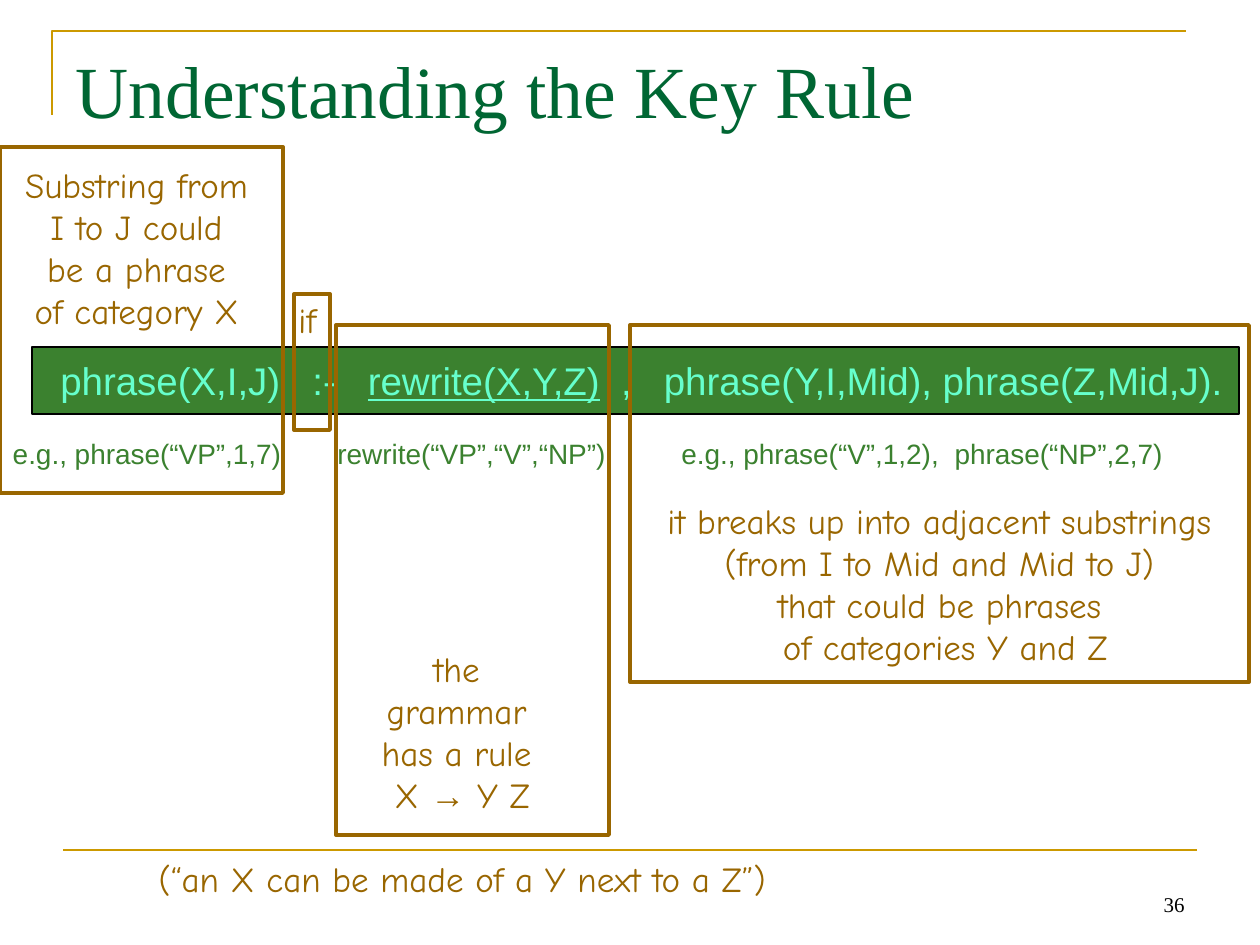
from lxml import etree
from pptx import Presentation
from pptx.dml.color import RGBColor
from pptx.enum.shapes import MSO_CONNECTOR, MSO_SHAPE
from pptx.enum.text import MSO_ANCHOR, MSO_AUTO_SIZE, PP_ALIGN
from pptx.oxml.ns import qn
from pptx.util import Emu, Pt

LEFT, CENTER, RIGHT = PP_ALIGN.LEFT, PP_ALIGN.CENTER, PP_ALIGN.RIGHT
TOP, MIDDLE, BOTTOM = MSO_ANCHOR.TOP, MSO_ANCHOR.MIDDLE, MSO_ANCHOR.BOTTOM
NO_AUTOFIT = MSO_AUTO_SIZE.NONE
RECTANGLE = MSO_SHAPE.RECTANGLE
STRAIGHT = MSO_CONNECTOR.STRAIGHT
EMU_PER_PX = 914400 / 126
TITLE_ONLY = 5


def px(n):
    return Emu(round(n * EMU_PER_PX))


def color(value):
    return RGBColor.from_string(value)


def write(tf, paragraphs, font="Arial", size=16, fill="3B812F", align=LEFT,
          anchor=TOP, wrap=True, gap=0, indent=0):
    tf.word_wrap = wrap
    tf.auto_size = NO_AUTOFIT
    tf.vertical_anchor = anchor
    for i, runs in enumerate(paragraphs):
        p = tf.add_paragraph() if i else tf.paragraphs[0]
        p.alignment = align
        p.space_before = Pt(gap if i else 0)
        pPr = p._p.get_or_add_pPr()
        pPr.set("marL", str(px(indent)))
        pPr.set("indent", "0")
        for text, style in runs:
            for j, line in enumerate(text.split("\n")):
                if j:
                    p.add_line_break()
                r = p.add_run()
                r.text = line
                r.font.name = style.get("font", font)
                r.font.size = Pt(size)
                r.font.underline = style.get("underline", False)
                r.font.color.rgb = color(fill)
                if "spacing" in style:
                    r._r.get_or_add_rPr().set("spc", str(style["spacing"]))


def plain(*texts):
    return [[(text, {})] for text in texts]


def wide_space(spacing):
    return " ", {"spacing": spacing}


class RuleSlide:
    gold, brown, green = "CC9900", "996600", "3B812F"
    note = dict(font="Comic Neue", size=20, fill=brown)

    def __init__(self, prs):
        self.s = prs.slides.add_slide(prs.slide_layouts[TITLE_ONLY])

    def title(self, text, x, y, w, h):
        sp = self.s.shapes.title
        sp.left, sp.top, sp.width, sp.height = map(px, (x, y, w, h))
        sp.text_frame.margin_top = px(7)
        write(sp.text_frame, plain(text), font="Times New Roman", size=42, fill="006633")

    def corner(self, start, *points):
        builder = self.s.shapes.build_freeform(*start, scale=EMU_PER_PX)
        builder.add_line_segments(points, close=False)
        sp = builder.convert_to_shape()
        sp.shadow.inherit = False
        sp.fill.background()
        self.outline(sp, self.gold, 1.5)

    def rule(self, x1, y1, x2, y2):
        line = self.s.shapes.add_connector(STRAIGHT, *map(px, (x1, y1, x2, y2)))
        self.outline(line, self.gold, 1.5)
        etree.SubElement(line._element.spPr, qn("a:effectLst"))

    def outline(self, sp, value, width):
        sp.line.color.rgb = color(value)
        sp.line.width = Pt(width)

    def text(self, paragraphs, x, y, w, h, **fmt):
        sp = self.s.shapes.add_textbox(*map(px, (x, y, w, h)))
        write(sp.text_frame, paragraphs, **fmt)

    def box(self, x, y, w, h, fill=None, line=brown, width=2.25):
        sp = self.s.shapes.add_shape(RECTANGLE, *map(px, (x, y, w, h)))
        sp.shadow.inherit = False
        if fill:
            sp.fill.solid()
            sp.fill.fore_color.rgb = color(fill)
        else:
            sp.fill.background()
        self.outline(sp, line, width)
        return sp

    def callout(self, paragraphs, text_at, box_at, **fmt):
        self.text(paragraphs, *text_at, **self.note, **fmt)
        self.box(*box_at)


def main():
    prs = Presentation()
    prs.slide_width, prs.slide_height = px(1260), px(945)
    slide = RuleSlide(prs)
    slide.corner((52, 115), (52, 31), (1186, 31))
    slide.rule(63, 850, 1197, 850)
    slide.text(plain("36"), 903, 860, 294, 63, font="Times New Roman", size=12,
               fill="000000", align=RIGHT, anchor=BOTTOM)
    slide.title("Understanding the Key Rule", 63, 38, 1134, 157)

    bar = slide.box(32, 347, 1207, 67, fill=slide.green, line="000000", width=1)
    bar.text_frame.margin_right = 0
    clause = [("phrase(X,I,J)\t:-", {}), wide_space(1220),
              ("rewrite(X,Y,Z)", {"underline": True}), wide_space(610),
              (",", {}), wide_space(1220), ("phrase(Y,I,Mid), phrase(Z,Mid,J).", {})]
    write(bar.text_frame, [clause], size=22, fill="66FFCC", anchor=MIDDLE, indent=16)

    slide.text(plain("e.g., phrase(“VP”,1,7)"), 0, 430, 294, 47, align=CENTER, wrap=False)
    slide.callout(plain("Substring from \nI to J could \nbe a phrase \nof category X "),
                  (-10, 157, 305, 181), (0, 147, 283, 346), align=CENTER)
    slide.callout(plain("if"), (286, 292, 63, 55), (294, 294, 36, 136))
    split = [("e.g., phrase(“V”,1,2),", {}), wide_space(445), ("phrase(“NP”,2,7)", {})]
    slide.text([split], 669, 430, 507, 47, wrap=False)
    slide.callout(plain("it breaks up into adjacent substrings ",
                        "(from I to Mid and Mid to J) \nthat could be phrases \n"
                        "of categories Y and Z"),
                  (620, 493, 651, 223), (630, 325, 619, 357), align=CENTER)
    slide.text(plain("rewrite(“VP”,“V”,“NP”)"), 325, 430, 294, 47, wrap=False)
    grammar = [("the \ngrammar \nhas a rule \nX ", {}), ("→", {"font": "Arial"}), (" Y Z", {})]
    slide.callout([grammar, *plain("(“an X can be made of a Y next to a Z”)")],
                  (116, 641, 693, 265), (336, 325, 273, 510), align=CENTER, gap=24)
    prs.save("out.pptx")


if __name__ == "__main__":
    main()
